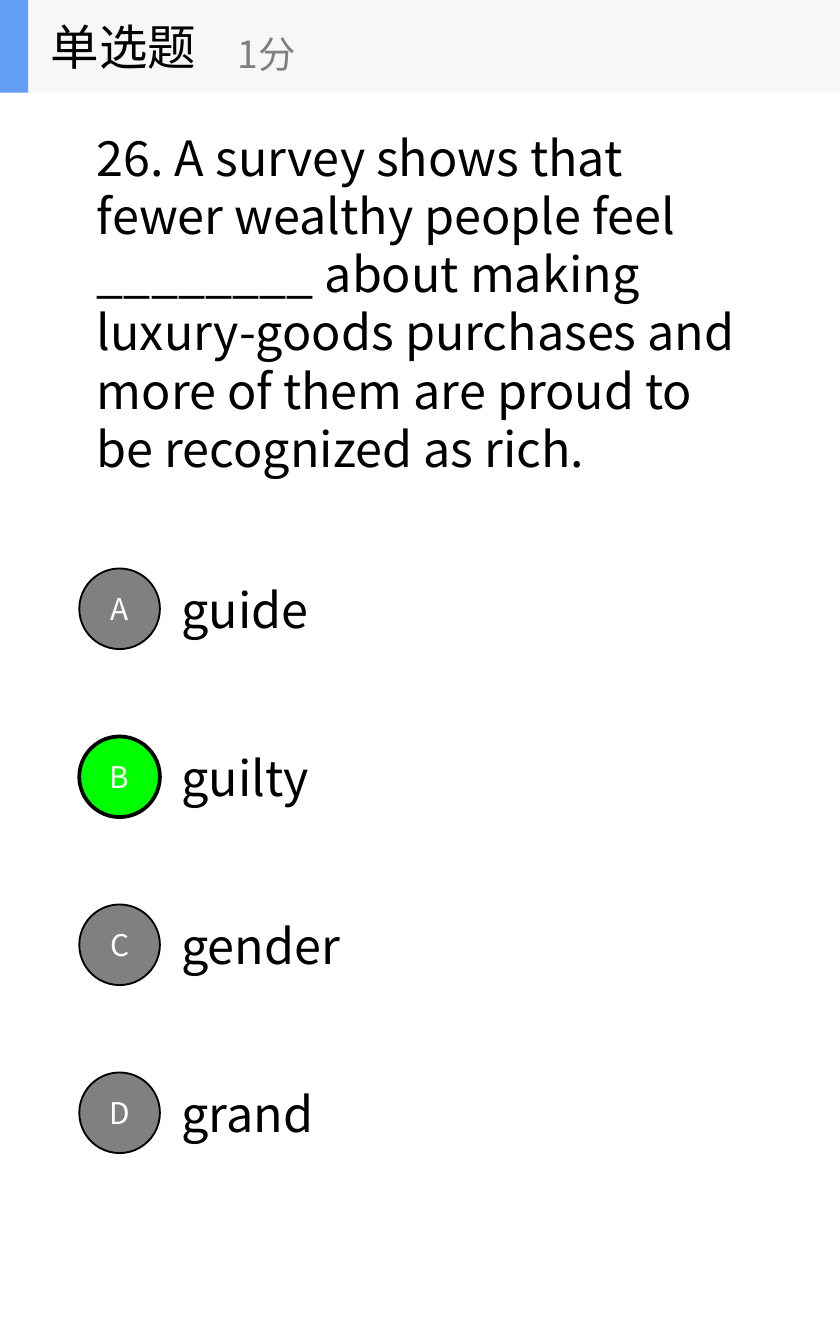
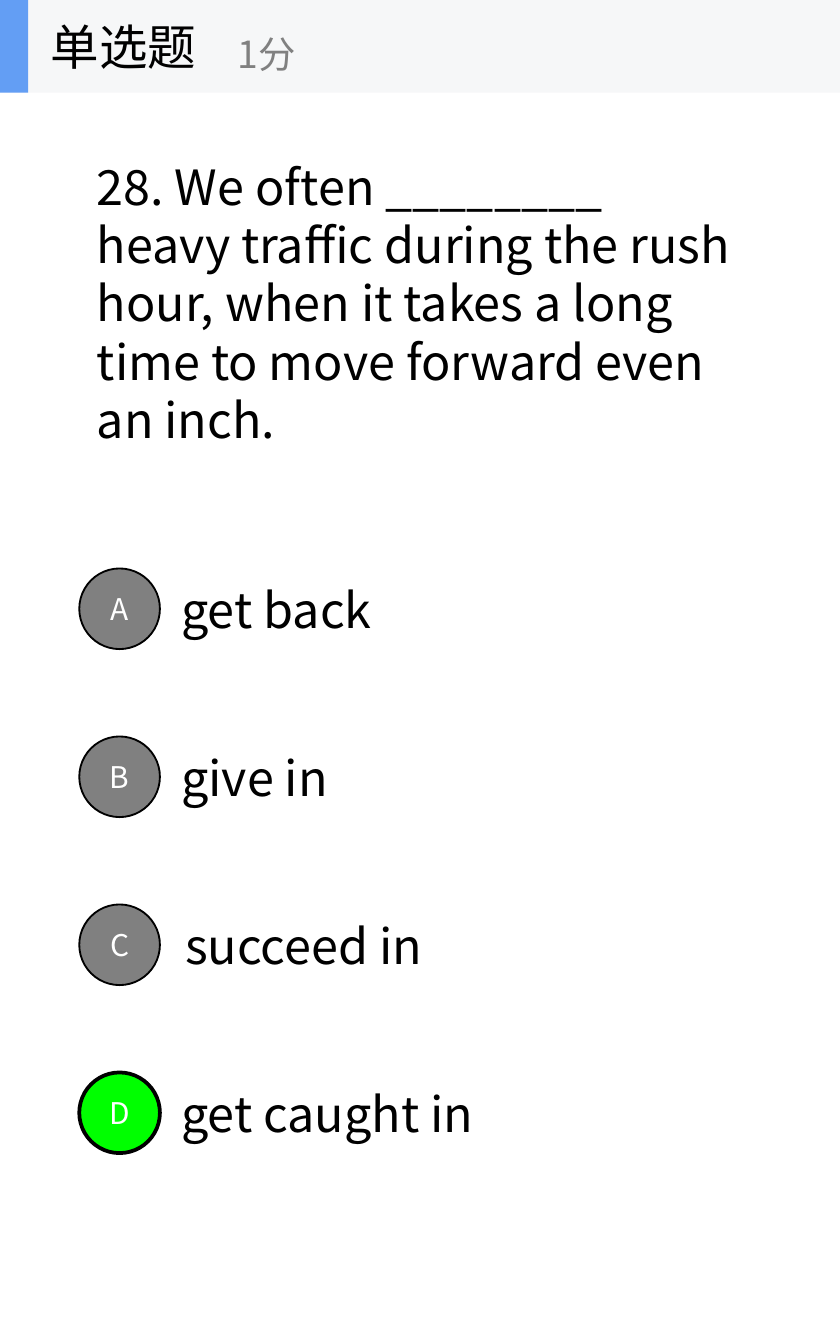
from lxml import etree
from pptx import Presentation
from pptx.dml.color import RGBColor
from pptx.enum.shapes import MSO_SHAPE
from pptx.enum.text import MSO_ANCHOR, MSO_AUTO_SIZE, PP_ALIGN
from pptx.oxml.ns import qn
from pptx.util import Inches, Pt

QUESTIONS = [
    {
        "text": "26. A survey shows that fewer wealthy people feel ________ about making "
                "luxury-goods purchases and more of them are proud to be recognized as rich.",
        "options": ["guide", "guilty", "gender", "grand"],
        "answer": "B",
        "indents": {},
    },
    {
        "text": "28. We often ________ heavy traffic during the rush hour, "
                "when it takes a long time to move forward even an inch.",
        "options": ["get back", "give in", "succeed in", "get caught in"],
        "answer": "D",
        "indents": {"C": 0.03},
    },
]
QUESTION_TYPE = "单选题"
SCORE = "1分"

FONT = "Noto Sans CJK SC"
BLACK, WHITE, GRAY = "000000", "FFFFFF", "808080"
GREEN, BAND, ACCENT = "00FF00", "F6F7F8", "639EF4"
LEFT, CENTER = PP_ALIGN.LEFT, PP_ALIGN.CENTER
MIDDLE, NO_AUTOFIT = MSO_ANCHOR.MIDDLE, MSO_AUTO_SIZE.NONE
RECTANGLE, OVAL = MSO_SHAPE.RECTANGLE, MSO_SHAPE.OVAL
TITLE_ONLY = 5

WIDTH, HEIGHT = 6.25, 10
HEADER_HEIGHT = 0.69
QUESTION_BOX = (0.62, HEADER_HEIGHT, 5, 3.12)
OPTION_LEFT, OPTION_TOP = 1.25, 4.06
OPTION_WIDTH, OPTION_HEIGHT, OPTION_STEP = 4.38, 0.94, 1.25
BADGE_LEFT, BADGE_SIZE = 0.59, 0.6


def color(value):
    return RGBColor.from_string(value)


def write(shape, text, size, text_color=BLACK, alignment=LEFT):
    frame = shape.text_frame
    settings = {"word_wrap": True, "auto_size": NO_AUTOFIT, "vertical_anchor": MIDDLE}
    for name, value in settings.items():
        setattr(frame, name, value)
    paragraph = frame.paragraphs[0]
    paragraph.alignment = alignment
    run = paragraph.add_run()
    run.text = text
    for name, value in {"name": FONT, "size": Pt(size)}.items():
        setattr(run.font, name, value)
    run.font.color.rgb = color(text_color)
    east_asian = etree.SubElement(run.font._element, qn("a:ea"))
    east_asian.set("typeface", FONT)


def add_text(shapes, box, text, size, text_color=BLACK):
    write(shapes.add_textbox(*map(Inches, box)), text, size, text_color)


def add_filled(shapes, kind, box, fill, line_width=0):
    shape = shapes.add_shape(kind, *map(Inches, box))
    shape.shadow.inherit = False
    shape.fill.solid()
    shape.fill.fore_color.rgb = color(fill)
    if line_width:
        shape.line.color.rgb = color(BLACK)
        shape.line.width = Pt(line_width)
    else:
        shape.line.fill.background()
    return shape


def add_header(slide):
    shapes = slide.shapes.add_group_shape().shapes
    add_filled(shapes, RECTANGLE, (0, 0, WIDTH, HEADER_HEIGHT), BAND)
    add_filled(shapes, RECTANGLE, (0, 0, 0.21, HEADER_HEIGHT), ACCENT)
    add_text(shapes, (0.28, 0, 2.08, HEADER_HEIGHT), QUESTION_TYPE, 26)
    add_text(shapes, (1.67, 0.12, 2.5, 0.56), SCORE, 20, GRAY)


def add_question(slide, text):
    title = slide.shapes.title
    for name, value in zip(("left", "top", "width", "height"), QUESTION_BOX):
        setattr(title, name, Inches(value))
    write(title, text, 26)


def add_option(slide, top, letter, text, indent, correct):
    box = (OPTION_LEFT + indent, top, OPTION_WIDTH, OPTION_HEIGHT)
    add_text(slide.shapes, box, text, 26)
    badge_top = top + (OPTION_HEIGHT - BADGE_SIZE) / 2
    badge = add_filled(slide.shapes, OVAL, (BADGE_LEFT, badge_top, BADGE_SIZE, BADGE_SIZE),
                       GREEN if correct else GRAY, 2 if correct else 1)
    for side in ("left", "top", "right", "bottom"):
        setattr(badge.text_frame, f"margin_{side}", 0)
    write(badge, letter, 16, WHITE, CENTER)


def main():
    presentation = Presentation()
    presentation.slide_width = Inches(WIDTH)
    presentation.slide_height = Inches(HEIGHT)
    for question in QUESTIONS:
        slide = presentation.slides.add_slide(presentation.slide_layouts[TITLE_ONLY])
        add_question(slide, question["text"])
        for index, (letter, text) in enumerate(zip("ABCD", question["options"])):
            add_option(slide, OPTION_TOP + index * OPTION_STEP, letter, text,
                       question["indents"].get(letter, 0), letter == question["answer"])
        add_header(slide)
    presentation.save("out.pptx")


if __name__ == "__main__":
    main()
